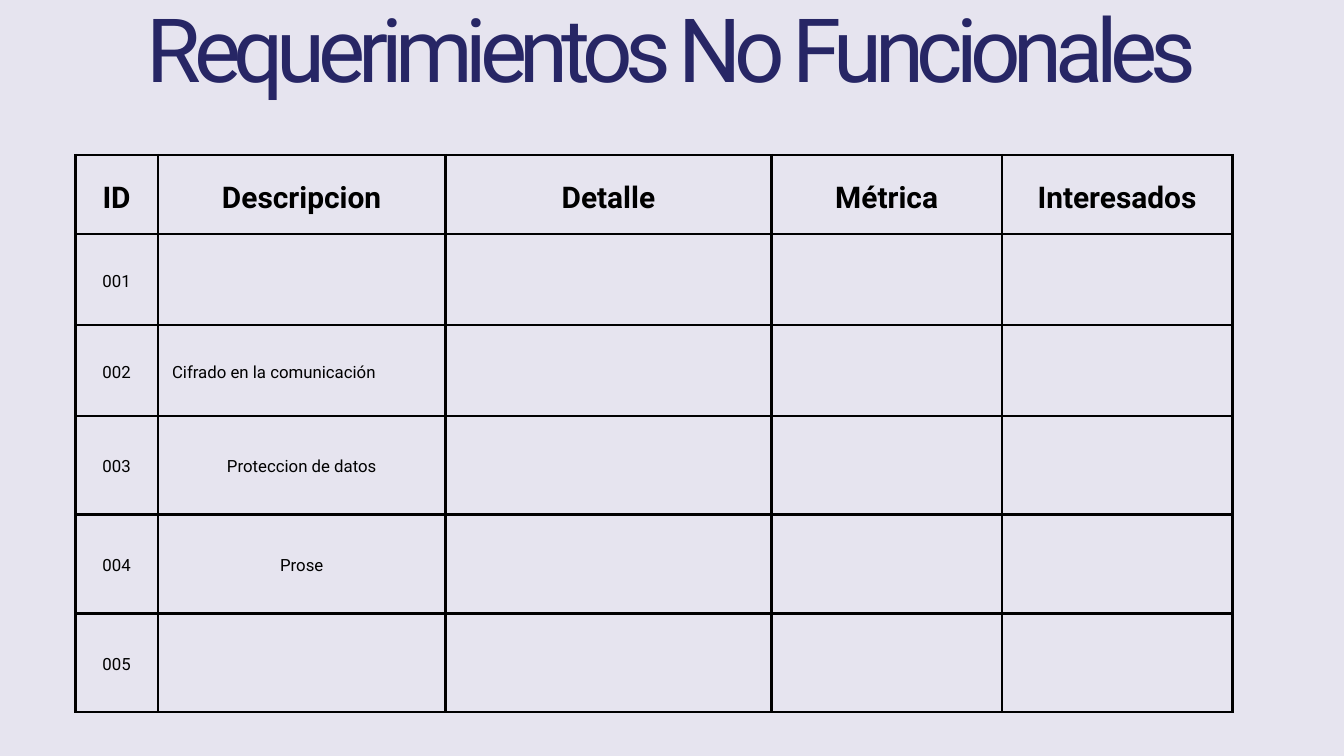
from lxml import etree
from pptx import Presentation
from pptx.dml.color import RGBColor
from pptx.enum.text import MSO_ANCHOR, MSO_AUTO_SIZE, PP_ALIGN
from pptx.oxml.ns import qn
from pptx.util import Inches, Pt

LEFT, CENTER = PP_ALIGN.LEFT, PP_ALIGN.CENTER
MIDDLE = MSO_ANCHOR.MIDDLE
BACKGROUND = RGBColor(0xE6, 0xE4, 0xEF)
NAVY = RGBColor(0x27, 0x26, 0x65)
BLACK = RGBColor(0, 0, 0)

# Content
TITLE = "Requerimientos No Funcionales"
HEADERS = ["ID", "Descripcion", "Detalle", "Métrica", "Interesados"]
REQUIREMENTS = [
    ("001", "", CENTER),
    ("002", "Cifrado en la comunicación", LEFT),
    ("003", "Proteccion de datos", CENTER),
    ("004", "Prose", CENTER),
    ("005", "", CENTER),
]

# Layout and formats
COLUMN_WIDTHS = [1.23, 4.28, 4.85, 3.43, 3.43]
ROW_HEIGHTS = [1.17, 1.36, 1.35, 1.47, 1.47, 1.47]
CELL_MARGIN = 0.21
BORDER_WIDTH = 3
TITLE_FORMAT = {"size": Pt(95), "name": "Roboto", "bold": False}
HEADER_FORMAT = {"size": Pt(32), "name": "Roboto", "bold": True}
BODY_FORMAT = {"size": Pt(18), "name": "Roboto", "bold": False}


def write(text_frame, text, font_format, color, alignment, line_spacing):
    paragraph = text_frame.paragraphs[0]
    paragraph.alignment = alignment
    paragraph.line_spacing = Pt(line_spacing)
    run = paragraph.add_run()
    run.text = text
    for name, value in font_format.items():
        setattr(run.font, name, value)
    run.font.color.rgb = color
    return run


def add_borders(cell):
    properties = cell._tc.get_or_add_tcPr()
    for position, side in enumerate(("a:lnL", "a:lnR", "a:lnT", "a:lnB")):
        line = etree.Element(qn(side), w=str(Pt(BORDER_WIDTH)))
        fill = etree.SubElement(line, qn("a:solidFill"))
        etree.SubElement(fill, qn("a:srgbClr"), val=str(BLACK))
        properties.insert(position, line)


presentation = Presentation()
presentation.slide_width = Inches(20)
presentation.slide_height = Inches(11.25)
slide = presentation.slides.add_slide(presentation.slide_layouts[6])
slide.background.fill.solid()
slide.background.fill.fore_color.rgb = BACKGROUND

# Requirements table
table = slide.shapes.add_table(
    len(ROW_HEIGHTS), len(COLUMN_WIDTHS), Inches(1.12), Inches(2.31),
    Inches(sum(COLUMN_WIDTHS)), Inches(sum(ROW_HEIGHTS))).table
table.horz_banding = False
for column, width in zip(table.columns, COLUMN_WIDTHS):
    column.width = Inches(width)
for row, height in zip(table.rows, ROW_HEIGHTS):
    row.height = Inches(height)
for cell in table.iter_cells():
    cell.fill.background()
    cell.vertical_anchor = MIDDLE
    for side in ("left", "right", "top", "bottom"):
        setattr(cell, f"margin_{side}", Inches(CELL_MARGIN))
    add_borders(cell)

for index, header in enumerate(HEADERS):
    write(table.cell(0, index).text_frame, header, HEADER_FORMAT, BLACK, CENTER, 44.8)
for index, (identifier, description, alignment) in enumerate(REQUIREMENTS, start=1):
    write(table.cell(index, 0).text_frame, identifier, BODY_FORMAT, BLACK, CENTER, 25.2)
    if description:
        write(table.cell(index, 1).text_frame, description, BODY_FORMAT, BLACK,
              alignment, 25.2)

# Title
title = slide.shapes.add_textbox(Inches(1.79), Inches(0.23), Inches(16.41), Inches(1.35))
title_frame = title.text_frame
title_frame.word_wrap = True
title_frame.auto_size = MSO_AUTO_SIZE.SHAPE_TO_FIT_TEXT
for side in ("left", "right", "top", "bottom"):
    setattr(title_frame, f"margin_{side}", 0)
title_run = write(title_frame, TITLE, TITLE_FORMAT, NAVY, CENTER, 91.2)
title_run.font._element.set("spc", "-780")  # letter spacing, hundredths of a point

presentation.save("out.pptx")
